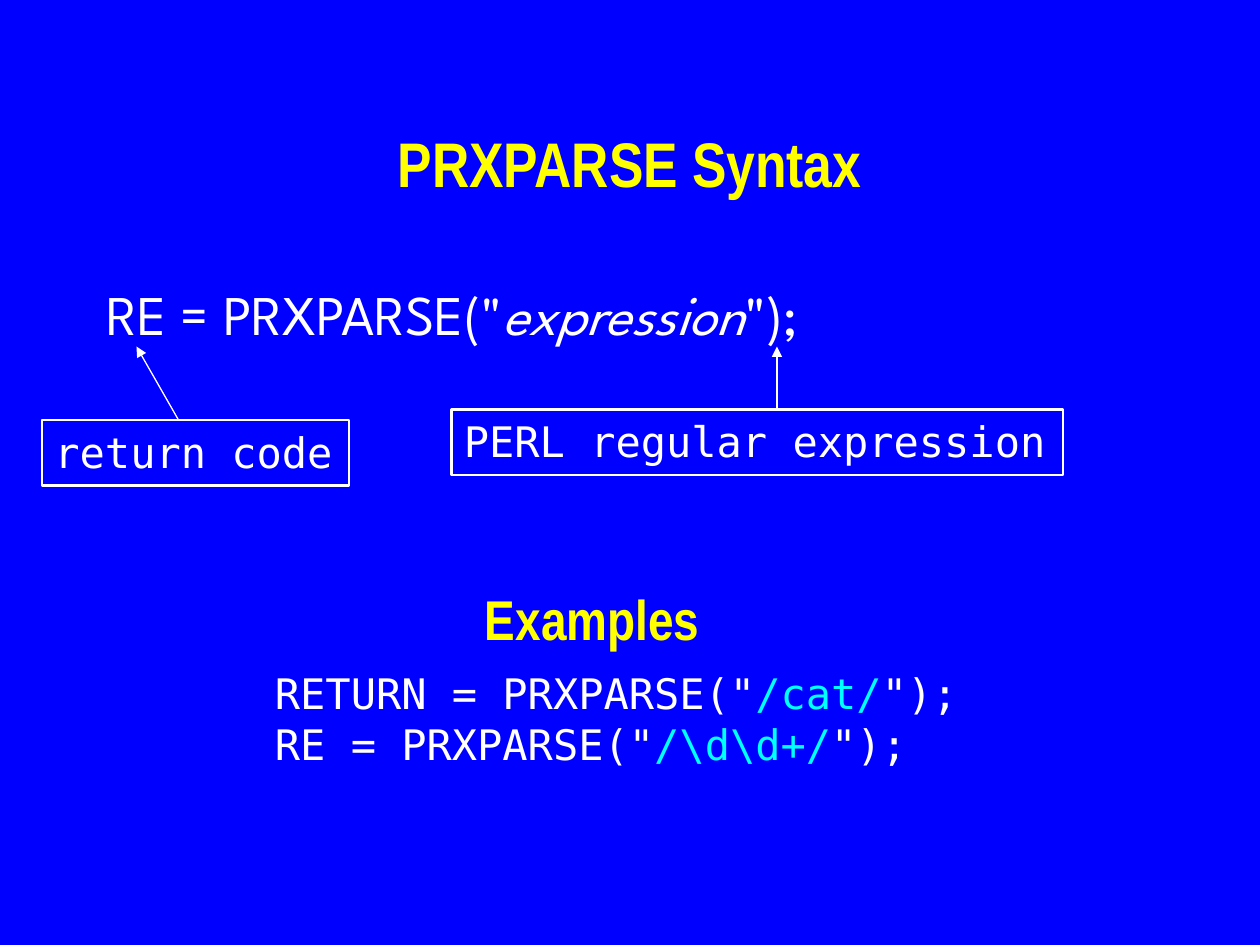
import pptx
import pptx.util
import pptx.dml.color
import pptx.enum.shapes
import pptx.enum.text
import lxml.etree
from dataclasses import dataclass

Pt = pptx.util.Pt
Shape = pptx.enum.shapes.MSO_SHAPE
Anchor = pptx.enum.text.MSO_ANCHOR
Align = pptx.enum.text.PP_ALIGN


@dataclass
class Theme:
    blue: str = "0000FF"
    yellow: str = "FFFF00"
    white: str = "FFFFFF"
    cyan: str = "00FFFF"
    heading: str = "Arial Narrow"
    syntax: str = "League Spartan"
    code: str = "DejaVu Sans Mono"
    title_size: int = 36
    large_size: int = 32
    code_size: int = 24


theme = Theme()


def rgb(value):
    return pptx.dml.color.RGBColor.from_string(value)


def add_text(box, lines, font, size, bold=False, wrap=False):
    """Each line is a list of (text, colour, italic) runs."""
    frame = box.text_frame
    frame.word_wrap = wrap
    if not wrap:
        frame.auto_size = pptx.enum.text.MSO_AUTO_SIZE.SHAPE_TO_FIT_TEXT
    for number, line in enumerate(lines):
        para = frame.add_paragraph() if number else frame.paragraphs[0]
        para.alignment = Align.LEFT
        for text, colour, italic in line:
            span = para.add_run()
            span.text = text
            span.font.name = font
            span.font.size = Pt(size)
            span.font.bold = bold
            span.font.italic = italic
            span.font.color.rgb = rgb(colour)
    return frame


deck = pptx.Presentation()
deck.slide_width, deck.slide_height = Pt(720), Pt(540)
page = deck.slides.add_slide(deck.slide_layouts[6])
page.background.fill.solid()
page.background.fill.fore_color.rgb = rgb(theme.blue)

# Title
title = page.shapes.add_textbox(Pt(54), Pt(48), Pt(612), Pt(90))
frame = add_text(title, [[("PRXPARSE Syntax", theme.yellow, False)]],
                 theme.heading, theme.title_size, bold=True, wrap=True)
frame.vertical_anchor = Anchor.MIDDLE
frame.paragraphs[0].alignment = Align.CENTER

# Syntax line
syntax = page.shapes.add_textbox(Pt(54), Pt(156), Pt(612), Pt(324))
frame = add_text(syntax, [[('RE = PRXPARSE("', theme.white, False),
                           ("expression", theme.white, True),
                           ('");', theme.white, False)]],
                 theme.syntax, theme.large_size, wrap=True)
para = frame.paragraphs[0]
para.space_before = Pt(6.4)
indent = para._p.get_or_add_pPr()
indent.set("marL", str(Pt(27)))
indent.set("indent", str(-Pt(27)))

# Arrows from the labels up to the syntax line
for start_x, start_y, end_x, end_y in [(102, 240, 78, 198), (444, 234, 444, 198)]:
    arrow = page.shapes.add_connector(
        pptx.enum.shapes.MSO_CONNECTOR.STRAIGHT,
        Pt(start_x), Pt(start_y), Pt(end_x), Pt(end_y))
    arrow.line.color.rgb = rgb(theme.white)
    arrow.line.width = Pt(0.75)
    line = arrow.line._get_or_add_ln()
    head = lxml.etree.SubElement(line, pptx.oxml.ns.qn("a:tailEnd"))
    head.set("type", "triangle")
    lxml.etree.SubElement(arrow._element.spPr, pptx.oxml.ns.qn("a:effectLst"))

# Framed labels
for text, left, top, width in [("return code", 24, 240, 175.5),
                               ("PERL regular expression", 258, 234, 349.5)]:
    label = page.shapes.add_shape(Shape.RECTANGLE, Pt(left), Pt(top), Pt(width), Pt(37.5))
    label.shadow.inherit = False
    label.fill.background()
    label.line.color.rgb = rgb(theme.white)
    label.line.width = Pt(1.5)
    frame = add_text(label, [[(text, theme.white, False)]], theme.code, theme.code_size)
    frame.vertical_anchor = Anchor.TOP

# Examples
heading = page.shapes.add_textbox(Pt(270), Pt(330.5), Pt(137), Pt(45.5))
add_text(heading, [[("Examples", theme.yellow, False)]],
         theme.heading, theme.large_size, bold=True)

examples = page.shapes.add_textbox(Pt(150), Pt(378), Pt(406), Pt(65))
calls = [("RETURN", "/cat/"), ("RE", r"/\d\d+/")]
add_text(examples, [[(f'{name} = PRXPARSE("', theme.white, False),
                     (pattern, theme.cyan, False),
                     ('");', theme.white, False)] for name, pattern in calls],
         theme.code, theme.code_size)

deck.save("out.pptx")
